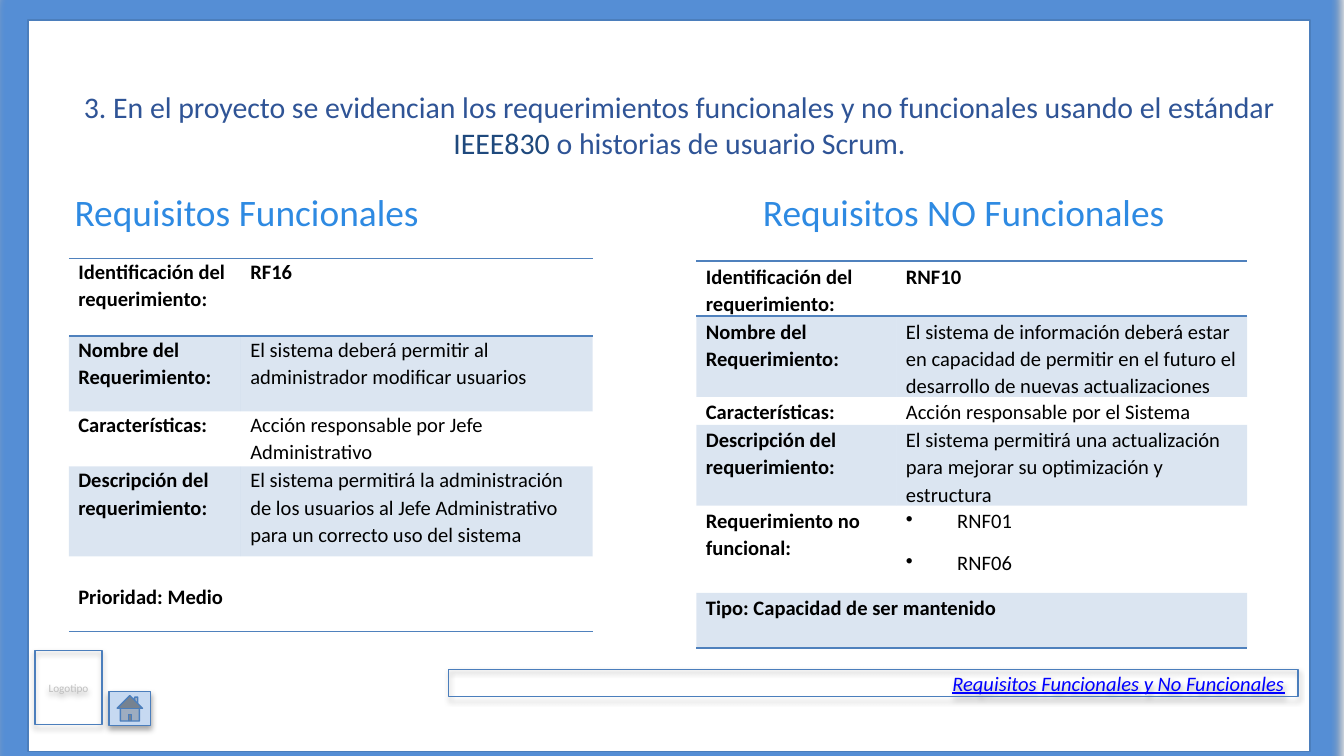
from lxml import etree
from pptx import Presentation
from pptx.dml.color import RGBColor
from pptx.enum.shapes import MSO_SHAPE
from pptx.enum.text import MSO_ANCHOR, PP_ALIGN
from pptx.oxml.ns import qn
from pptx.util import Cm, Pt

RECT = MSO_SHAPE.RECTANGLE
HOME = MSO_SHAPE.ACTION_BUTTON_HOME
TOP, MIDDLE = MSO_ANCHOR.TOP, MSO_ANCHOR.MIDDLE
LEFT, CENTER, RIGHT = PP_ALIGN.LEFT, PP_ALIGN.CENTER, PP_ALIGN.RIGHT

FONT = "Calibri"
WHITE = RGBColor(0xFF, 0xFF, 0xFF)
BLACK = RGBColor(0x00, 0x00, 0x00)
GREY = RGBColor(0xBF, 0xBF, 0xBF)
OUTLINE = RGBColor(0x4B, 0x7E, 0xBC)
ACCENT = RGBColor(0x4F, 0x81, 0xBD)
GLOW = RGBColor(0x55, 0x8E, 0xD5)
BUTTON = RGBColor(0xC6, 0xD9, 0xF1)
TITLE = RGBColor(0x2F, 0x54, 0x96)
NAVY = RGBColor(0x1F, 0x49, 0x7D)
HEADING = RGBColor(0x2E, 0x8A, 0xE2)
LINK = RGBColor(0x00, 0x00, 0xFF)

FUNCTIONAL = [
    ["Identificación del requerimiento:", "RF16"],
    ["Nombre del Requerimiento:",
     "El sistema deberá permitir al administrador modificar usuarios"],
    ["Características:", "Acción responsable por Jefe Administrativo"],
    ["Descripción del requerimiento:",
     "El sistema permitirá la administración de los usuarios al Jefe "
     "Administrativo para un correcto uso del sistema"],
    ["Prioridad: Medio"],
]
NON_FUNCTIONAL = [
    ["Identificación del requerimiento:", "RNF10"],
    ["Nombre del Requerimiento:",
     "El sistema de información deberá estar en capacidad de permitir en el "
     "futuro el desarrollo de nuevas actualizaciones"],
    ["Características:", "Acción responsable por el Sistema"],
    ["Descripción del requerimiento:",
     "El sistema permitirá una actualización para mejorar su optimización y "
     "estructura"],
    ["Requerimiento no funcional:", ["RNF01", "RNF06"]],
    ["Tipo: Capacidad de ser mantenido"],
]


def sub(parent, tag, **attrs):
    return etree.SubElement(parent, qn(tag), {k: str(v) for k, v in attrs.items()})


def add_color(parent, color, alpha):
    clr = sub(parent, "a:srgbClr", val=color)
    sub(clr, "a:alpha", val=alpha * 1000)


def add_text(p, text, size=11, color=BLACK, bold=False, italic=False,
             underline=False, align=LEFT):
    p.alignment = align
    r = p.add_run()
    r.text = text
    font = r.font
    font.name, font.size = FONT, Pt(size)
    font.bold, font.italic, font.underline = bold, italic, underline
    font.color.rgb = color


def add_box(s, kind, x, y, w, h, fill=None, glow=False):
    sp = s.shapes.add_shape(kind, Cm(x), Cm(y), Cm(w), Cm(h))
    sp.shadow.inherit = False
    if fill is None:
        sp.fill.background()
    else:
        sp.fill.solid()
        sp.fill.fore_color.rgb = fill
    sp.line.color.rgb = OUTLINE
    sp.line.width = Pt(0.75)
    effects = sp._element.spPr.find(qn("a:effectLst"))
    if glow:
        add_color(sub(effects, "a:glow", rad=Pt(11)), GLOW, 100)
    shadow = sub(effects, "a:outerShdw", blurRad=Pt(3.1), dist=Pt(1.8),
                 dir=5400000, rotWithShape=0)
    add_color(shadow, BLACK, 35)
    tf = sp.text_frame
    tf.word_wrap = True
    tf.vertical_anchor = MIDDLE
    return sp


def add_text_box(s, x, y, w, h):
    tf = s.shapes.add_textbox(Cm(x), Cm(y), Cm(w), Cm(h)).text_frame
    tf.word_wrap = True
    tf.vertical_anchor = TOP
    tf.margin_left = tf.margin_right = tf.margin_top = tf.margin_bottom = Cm(0.25)
    p = tf.paragraphs[0]
    p._p.get_or_add_pPr().set("marL", str(Cm(0.3)))
    return p


def add_bullet(p):
    pPr = p._p.get_or_add_pPr()
    pPr.set("marL", str(Cm(0.97)))
    pPr.set("indent", str(Cm(-0.97)))
    sub(pPr, "a:buChar", char="•")
    sub(sub(pPr, "a:tabLst"), "a:tab", pos=Cm(1.27), algn="l")


def style_cell(cell, ruled, shaded):
    tcPr = cell._tc.get_or_add_tcPr()
    for side in ("L", "R", "T", "B"):
        ln = sub(tcPr, "a:ln" + side, w=Pt(1))
        if side in ruled:
            add_color(sub(ln, "a:solidFill"), ACCENT, 100)
        else:
            sub(ln, "a:noFill")
    if shaded:
        add_color(sub(tcPr, "a:solidFill"), ACCENT, 20)
    else:
        cell.fill.background()


def fill_cell(cell, content, bold, top):
    cell.margin_left = cell.margin_right = Cm(0.18)
    cell.margin_top, cell.margin_bottom = Cm(top), Cm(0)
    cell.vertical_anchor = TOP
    tf = cell.text_frame
    lines = content if isinstance(content, list) else [content]
    for i, line in enumerate(lines):
        p = tf.add_paragraph() if i else tf.paragraphs[0]
        p.line_spacing = 1.07
        p.space_after = Pt(8)
        if isinstance(content, list):
            add_bullet(p)
        add_text(p, line, bold=bold)


def add_requirements(s, x, y, widths, heights, rows, top=0, last_top=0):
    last = len(rows) - 1
    table = s.shapes.add_table(len(rows), 2, Cm(x), Cm(y), Cm(sum(widths)),
                               Cm(sum(heights))).table
    table.first_row = table.horz_banding = False
    for column, width in zip(table.columns, widths):
        column.width = Cm(width)
    for i, (row, height) in enumerate(zip(rows, heights)):
        table.rows[i].height = Cm(height)
        ruled = {0: "TB", 1: "T", last: "B"}.get(i, "")
        for j in range(2):
            style_cell(table.cell(i, j), ruled, i % 2 == 1)
        if len(row) == 1:
            table.cell(i, 0).merge(table.cell(i, 1))
        for j, content in enumerate(row):
            fill_cell(table.cell(i, j), content, i == 0 or j == 0,
                      last_top if i == last else top)


def main():
    prs = Presentation()
    prs.slide_width, prs.slide_height = Cm(25.4), Cm(14.28)
    s = prs.slides.add_slide(prs.slide_layouts[6])

    add_box(s, RECT, 0.53, 0.38, 24.23, 13.82, fill=WHITE, glow=True)
    add_box(s, HOME, 2.06, 13.06, 0.79, 0.64, fill=BUTTON)

    p = add_text_box(s, 0.86, 1.42, 23.67, 1.6)
    for text, color in (
        ("3. En el proyecto se evidencian los requerimientos funcionales y no "
         "funcionales usando el estándar ", TITLE),
        ("IEEE830", NAVY),
        (" o historias de usuario Scrum.", TITLE),
    ):
        add_text(p, text, size=16, color=color, align=CENTER)

    for x, text in ((0.86, "Requisitos Funcionales"),
                    (13.87, "Requisitos NO Funcionales")):
        add_text(add_text_box(s, x, 3.33, 10.26, 8.31), text, size=20, color=HEADING)

    tf = add_box(s, RECT, 0.66, 12.29, 1.27, 1.4).text_frame
    tf.margin_left = tf.margin_right = Cm(0)
    add_text(tf.paragraphs[0], "Logotipo", size=6, color=GREY, align=CENTER)

    tf = add_box(s, RECT, 8.48, 12.65, 16.05, 0.51).text_frame
    add_text(tf.paragraphs[0], "Requisitos Funcionales y No Funcionales",
             color=LINK, italic=True, underline=True, align=RIGHT)

    add_requirements(s, 13.16, 4.93, (3.78, 6.63),
                     (1.04, 1.04, 0.51, 1.04, 1.65, 1.04), NON_FUNCTIONAL,
                     top=0.03, last_top=0.03)
    add_requirements(s, 1.3, 4.88, (3.25, 6.65),
                     (1.47, 1.42, 1.04, 1.7, 1.42), FUNCTIONAL, last_top=0.51)
    prs.save("out.pptx")


if __name__ == "__main__":
    main()
